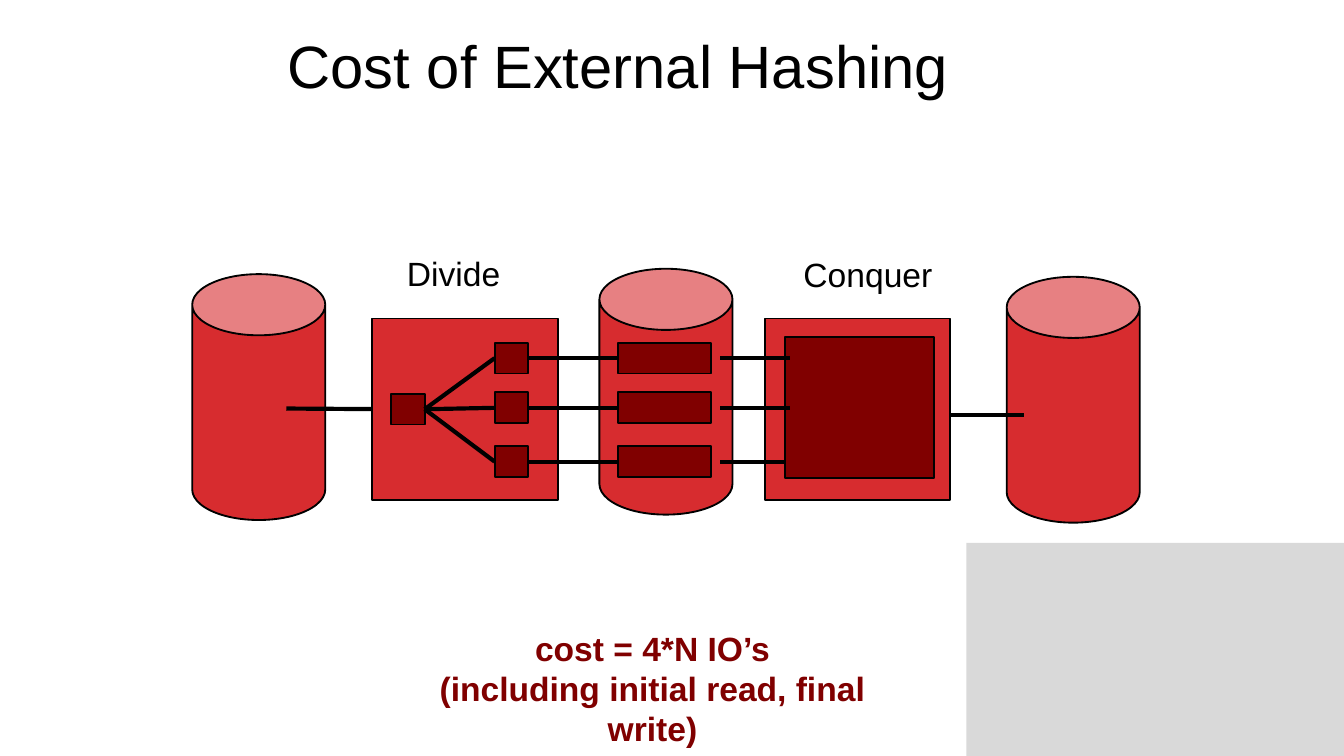
from lxml import etree
from pptx import Presentation
from pptx.dml.color import RGBColor
from pptx.enum.shapes import MSO_CONNECTOR as CONNECTOR, MSO_SHAPE as SHAPE
from pptx.enum.text import MSO_ANCHOR as ANCHOR, PP_ALIGN as ALIGN
from pptx.oxml.ns import qn
from pptx.util import Inches, Pt

COLORS = {
    "black": "000000",
    "red": "D72C2F",
    "maroon": "800000",
    "gray": "D9D9D9",
}
FONT = "Arial"
ROW_TOPS = [2.55, 2.92, 3.32]
BUCKET_HEIGHT = 0.23
LEFT, RIGHT = 1, 3  # connection sites of a rectangle


def color(name):
    return RGBColor.from_string(COLORS[name])


def add_block(slide, kind, left, top, width, height, fill, outlined=True):
    shape = slide.shapes.add_shape(
        kind, Inches(left), Inches(top), Inches(width), Inches(height))
    shape.shadow.inherit = False
    shape.fill.solid()
    shape.fill.fore_color.rgb = color(fill)
    if outlined:
        shape.line.color.rgb = color("black")
        shape.line.width = Pt(1)
    else:
        shape.line.fill.background()
    return shape


def add_disk(slide, left, top):
    disk = add_block(slide, SHAPE.CAN, left, top, 0.99, 1.83, "red")
    disk.adjustments[0] = 0.46


def add_bucket(slide, left, top, width=0.25):
    return add_block(slide, SHAPE.RECTANGLE, left, top, width,
                     BUCKET_HEIGHT, "maroon")


def add_line(slide, start=(0, 0), end=(0, 0)):
    line = slide.shapes.add_connector(
        CONNECTOR.STRAIGHT, *(Inches(value) for value in (*start, *end)))
    line.line.color.rgb = color("black")
    line.line.width = Pt(2.25)
    properties = line._element.find(qn("p:spPr"))
    etree.SubElement(properties, qn("a:effectLst"))
    return line


def join(slide, source, target):
    line = add_line(slide)
    line.begin_connect(source, RIGHT)
    line.end_connect(target, LEFT)


def format_text(text_frame, size, name, bold=False, align=ALIGN.LEFT):
    for paragraph in text_frame.paragraphs:
        paragraph.alignment = align
        for run in paragraph.runs:
            run.font.name = FONT
            run.font.size = Pt(size)
            run.font.bold = bold
            run.font.color.rgb = color(name)


def add_text(slide, text, left, top, width, height, name="black",
             wrap=False, **style):
    box = slide.shapes.add_textbox(
        Inches(left), Inches(top), Inches(width), Inches(height))
    box.text_frame.word_wrap = wrap
    box.text_frame.text = text
    format_text(box.text_frame, 18, name, **style)


def set_title(slide, text):
    title = slide.shapes.title
    title.left, title.top = Inches(2.04), Inches(0.01)
    title.width, title.height = Inches(6.38), Inches(0.94)
    title.text_frame.text = text
    title.text_frame.vertical_anchor = ANCHOR.MIDDLE
    format_text(title.text_frame, 32, "black")


def add_divide(slide, partitions):
    input_line = add_line(slide, (2.13, 3.04), (2.91, 3.04))
    add_block(slide, SHAPE.RECTANGLE, 2.77, 2.37, 1.38, 1.35, "red")
    input_buffer = add_bucket(slide, 2.91, 2.93)
    input_line.end_connect(input_buffer, LEFT)
    for top, partition in zip(ROW_TOPS, partitions):
        bucket = add_bucket(slide, 3.68, top)
        join(slide, input_buffer, bucket)
        join(slide, bucket, partition)


def add_conquer(slide):
    add_line(slide, (7.01, 3.09), (7.62, 3.09))
    add_block(slide, SHAPE.RECTANGLE, 5.69, 2.37, 1.38, 1.35, "red")
    add_block(slide, SHAPE.RECTANGLE, 5.84, 2.51, 1.11, 1.05, "maroon")
    for top, end in zip(ROW_TOPS, (5.88, 5.88, 5.84)):
        middle = top + BUCKET_HEIGHT / 2
        add_line(slide, (5.36, middle), (end, middle))


def main():
    presentation = Presentation()
    # Widescreen, 16:9
    presentation.slide_width = Inches(10)
    presentation.slide_height = Inches(10) * 9 // 16
    slide = presentation.slides.add_slide(presentation.slide_layouts[5])

    # Corner panel and title
    add_block(slide, SHAPE.RECTANGLE, 7.19, 4.04, 2.81, 1.59, "gray",
              outlined=False)
    set_title(slide, "Cost of External Hashing")

    # Disks, with the partitions on the middle one
    for left, top in ((1.43, 2.04), (7.49, 2.06), (4.46, 2)):
        add_disk(slide, left, top)
    partitions = [add_bucket(slide, 4.6, top, 0.69) for top in ROW_TOPS]

    # The two passes
    add_divide(slide, partitions)
    add_conquer(slide)
    add_text(slide, "Divide", 2.93, 1.83, 0.9, 0.4)
    add_text(slide, "Conquer", 5.88, 1.84, 1.18, 0.4)

    # Total cost
    add_text(slide, "cost = 4*N IO’s\v(including initial read, final write)",
             2.83, 4.62, 4.05, 0.71, "maroon", wrap=True, bold=True,
             align=ALIGN.CENTER)

    presentation.save("out.pptx")


if __name__ == "__main__":
    main()
